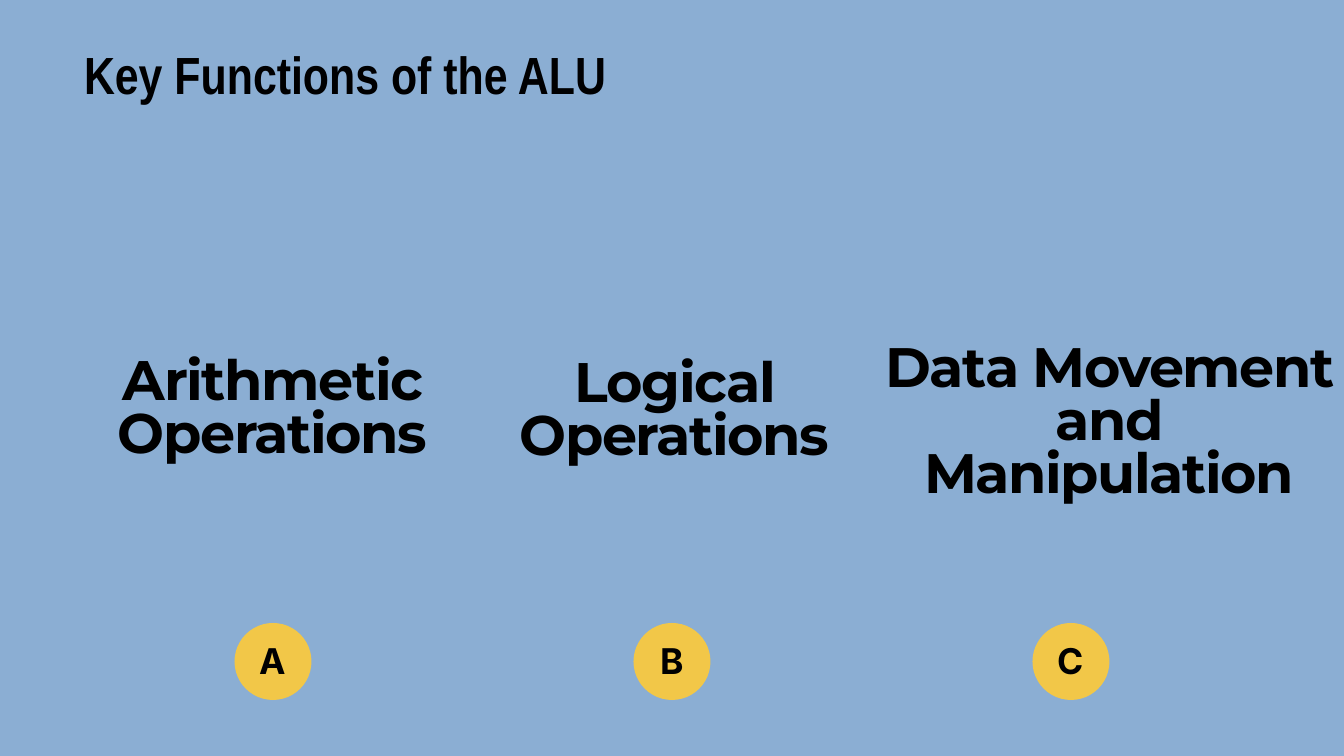
from typing import NamedTuple

from pptx import Presentation, util as u
from pptx.dml.color import RGBColor
from pptx.enum import shapes, text

EMU_PER_PX = 9525  # 20 in = 1920 px
COLORS = {"background": "8BAED3", "badge": "F2C748",
          "ink": "000001", "heading": "000000"}


class Box(NamedTuple):
    left: int
    top: int
    width: int
    height: int


class Style(NamedTuple):
    font: str
    size: float
    line: float
    color: str
    spacing: int = 0  # hundredths of a point


class Function(NamedTuple):
    letter: str
    heading: str
    box: Box
    size: float


TITLE = Style("Arial Narrow", 56, 61.6, "ink")
BADGE = Style("Inter", 38, 38, "ink")

FUNCTIONS = [
    Function("A", "Arithmetic Operations", Box(139, 513, 501, 159), 59.6),
    Function("B", "Logical Operations", Box(679, 516, 569, 156), 59.6),
    Function("C", "Data Movement and Manipulation", Box(1261, 494, 647, 230), 59.5),
]
BADGE_LEFT, BADGE_TOP, BADGE_SIZE, BADGE_STEP = 335, 890, 110, 570


def px(n: int) -> int:
    return n * EMU_PER_PX


def place(box: Box) -> list[int]:
    return [px(n) for n in box]


def rgb(name: str) -> RGBColor:
    return RGBColor.from_string(COLORS[name])


def write(sp, content: str, style: Style, align=text.PP_ALIGN.CENTER,
          anchor=text.MSO_ANCHOR.TOP, fit=text.MSO_AUTO_SIZE.SHAPE_TO_FIT_TEXT) -> None:
    tf = sp.text_frame
    tf.margin_left = tf.margin_top = tf.margin_right = tf.margin_bottom = 0
    tf.word_wrap = True
    tf.auto_size = fit
    tf.vertical_anchor = anchor
    p = tf.paragraphs[0]
    p.alignment = align
    p.line_spacing = u.Pt(style.line)
    r = p.add_run()
    r.text = content
    if style.spacing:
        r.font._element.set("spc", str(style.spacing))
    p.font.name = style.font
    p.font.size = u.Pt(style.size)
    p.font.bold = True
    p.font.color.rgb = rgb(style.color)


def add_badge(s, letter: str, left: int) -> None:
    group = s.shapes.add_group_shape().shapes
    circle = group.add_shape(shapes.MSO_SHAPE.OVAL,
                             *place(Box(left, BADGE_TOP, BADGE_SIZE, BADGE_SIZE)))
    circle.shadow.inherit = False
    circle.fill.solid()
    circle.fill.fore_color.rgb = rgb("badge")
    circle.line.fill.background()
    label = group.add_textbox(*place(Box(left + 10, BADGE_TOP + 18, 90, 82)))
    write(label, letter, BADGE, anchor=text.MSO_ANCHOR.MIDDLE,
          fit=text.MSO_AUTO_SIZE.NONE)


def add_heading(s, function: Function) -> None:
    style = Style("Montserrat", function.size, 56.6, "heading", -150)
    write(s.shapes.add_textbox(*place(function.box)), function.heading, style)


def main() -> None:
    prs = Presentation()
    prs.slide_width, prs.slide_height = px(1920), px(1080)
    s = prs.slides.add_slide(prs.slide_layouts[5])
    s.background.fill.solid()
    s.background.fill.fore_color.rgb = rgb("background")

    # Title
    title = s.shapes.title
    title.left, title.top, title.width, title.height = place(Box(120, 68, 880, 102))
    write(title, "Key Functions of the ALU", TITLE, align=text.PP_ALIGN.LEFT)

    # Lettered badges and function headings
    for i, function in enumerate(FUNCTIONS):
        add_badge(s, function.letter, BADGE_LEFT + i * BADGE_STEP)
        add_heading(s, function)

    prs.save("out.pptx")


if __name__ == "__main__":
    main()
